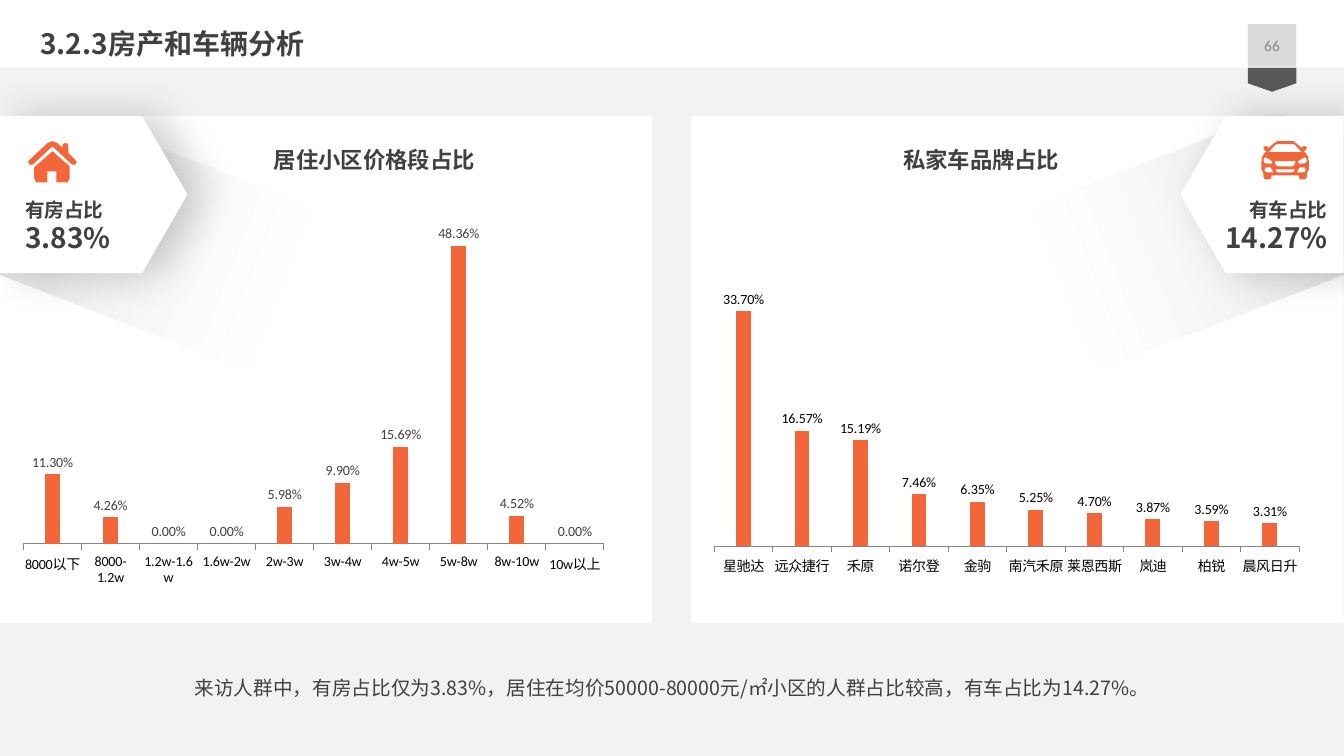
from dataclasses import dataclass
from math import cos, radians, sin

from pptx import Presentation
from pptx.chart.data import CategoryChartData
from pptx.dml.color import RGBColor
from pptx.enum.chart import XL_CHART_TYPE as ChartType, XL_LABEL_POSITION as LabelPosition
from pptx.enum.shapes import MSO_SHAPE as Preset
from pptx.enum.text import MSO_ANCHOR as Anchor, MSO_AUTO_SIZE as AutoSize, PP_ALIGN as Align
from pptx.oxml import parse_xml
from pptx.oxml.ns import nsdecls, qn
from pptx.util import Inches, Pt

Point = tuple[float, float]
Contour = list[Point]
Box = tuple[float, float, float, float]

SLIDE_WIDTH, SLIDE_HEIGHT = 40 / 3, 7.5
PANEL_TOP, PANEL_HEIGHT = 1.15, 5.03
CJK_FONT, CHART_FONT = "Noto Sans CJK SC", "Calibri"
ORANGE, DARK, WHITE, BLACK = "F36639", "404040", "FFFFFF", "000000"

@dataclass
class Panel:
    title: str
    left: float
    chart_box: Box
    title_box: Box
    plot: Box
    axis_maximum: float
    label_color: str
    values: dict[str, float]

@dataclass
class Badge:
    lines: list[tuple[str, int]]
    plate_box: Box
    text_left: float
    align: Align
    mirrored: bool
    icon_at: Point
    icon: list[Contour]

def mirror(points: Contour, axis: float = 0) -> Contour:
    return [(2 * axis - x, y) for x, y in points]

# Icon outlines, in hundredths of an inch; the car is given by its right half
HOUSE = [
    [(24, 10), (41, 25), (41, 37), (39, 41), (28, 41), (28, 30), (19, 30), (19, 41), (8, 41), (6, 37),
     (6, 26), (23, 11)],
    [(24, 0), (29, 2), (34, 7), (34, 4), (35, 2.5), (37, 2), (39, 2.5), (40, 4), (40, 12), (47, 19),
     (48, 21), (47, 23), (45, 23.5), (43, 23), (25, 6), (24, 5.5), (23, 6), (5, 23), (3, 23.5), (1, 23),
     (0, 21), (1, 19), (19, 2)],
]
CAR_CENTRED = [
    [(0, 0), (8, 0), (11, 2), (16.5, 7), (17, 5.5), (19, 5), (21, 5.5), (21.5, 7), (20.5, 9), (18.5, 10),
     (20.5, 12), (22.5, 15), (23.5, 20), (23.5, 28), (21.5, 32), (21.5, 35), (20.5, 37.5), (19, 38),
     (16, 38), (14, 37), (13.5, 34), (0, 34)],
    [(0, 3), (8.5, 3), (10, 4), (16.5, 11), (0, 11)],
    [(0, 28), (9.5, 28), (9, 30), (7.5, 31), (0, 31)],
    [(0, 20), (10.5, 20), (9.5, 23.5), (7.5, 25), (0, 25)],
]
CAR_SIDE = [
    [(19.5, 16), (21, 17), (21.5, 19), (21, 21), (19.5, 22), (14, 22.5), (12.5, 21), (14, 19)],
    [(19.5, 26), (20.5, 29), (19.5, 30.5), (18, 31), (11.5, 31), (14.5, 26)],
]
CAR = [half + mirror(half)[::-1] for half in CAR_CENTRED] + CAR_SIDE + [mirror(side) for side in CAR_SIDE]

BEAM = [(0.61, 1.15), (0.79, 1.15), (3.15, 2.07), (3.37, 4.03), (0, 2.72)]
BEAM_CENTRE, BEAM_ANGLE = (2.0, 2.56), 291.2

PANELS = [
    Panel("居住小区价格段占比", 0, (0, PANEL_TOP, 6.47, PANEL_HEIGHT), (0.96, 1.4, 5.51, 0.37),
          (0.036, 0.115, 0.89, 0.729), 0.6, DARK,
          {"8000以下": 0.113, "8000-1.2w": 0.0426, "1.2w-1.6w": 0, "1.6w-2w": 0, "2w-3w": 0.0598,
           "3w-4w": 0.099, "4w-5w": 0.1569, "5w-8w": 0.4836, "8w-10w": 0.0452, "10w以上": 0}),
    Panel("私家车品牌占比", 6.86, (6.84, PANEL_TOP, 6.49, PANEL_HEIGHT), (6.86, 1.4, 5.75, 0.37),
          (0.038, 0.299, 0.894, 0.55), 0.4, BLACK,
          {"星驰达": 0.337, "远众捷行": 0.1657, "禾原": 0.1519, "诺尔登": 0.0746, "金驹": 0.0635,
           "南汽禾原": 0.0525, "莱恩西斯": 0.047, "岚迪": 0.0387, "柏锐": 0.0359, "晨风日升": 0.0331}),
]
BADGES = [
    Badge([("有房占比", 14), ("3.83%", 20)], (0, PANEL_TOP, 1.86, 1.56), 0.15, Align.LEFT, False,
          (0.28, 1.4), HOUSE),
    Badge([("有车占比", 14), ("14.27%", 20)], (11.71, PANEL_TOP, 1.62, 1.56), 11.71, Align.RIGHT, True,
          (12.75, 1.4), CAR),
]
SUMMARY = "来访人群中，有房占比仅为3.83%，居住在均价50000-80000元/㎡小区的人群占比较高，有车占比为14.27%。"

def set_attributes(target, values: dict) -> None:
    for name, value in values.items():
        setattr(target, name, value)

def set_font(font, size: float, fill: str, name: str, bold: bool = False) -> None:
    set_attributes(font, {"size": Pt(size), "name": name, "bold": bold})
    font.color.rgb = RGBColor.from_string(fill)

def set_fill(fill, value: str) -> None:
    fill.solid()
    fill.fore_color.rgb = RGBColor.from_string(value)

def paint(shape, fill: str):
    shape.shadow.inherit = False
    set_fill(shape.fill, fill)
    shape.line.fill.background()
    return shape

def add_block(slide, box: Box, fill: str, preset=Preset.RECTANGLE):
    return paint(slide.shapes.add_shape(preset, *map(Inches, box)), fill)

def add_text(slide, box: Box, lines: list[tuple[str, int]], align=Align.LEFT, bold: bool = True,
             spacing: float | None = None) -> None:
    frame = slide.shapes.add_textbox(*map(Inches, box)).text_frame
    set_attributes(frame, {"word_wrap": True, "auto_size": AutoSize.SHAPE_TO_FIT_TEXT})
    for index, (text, size) in enumerate(lines):
        paragraph = frame.add_paragraph() if index else frame.paragraphs[0]
        set_attributes(paragraph, {"alignment": align, "line_spacing": Pt(spacing) if spacing else None})
        run = paragraph.add_run()
        run.text = text
        set_font(run.font, size, DARK, CJK_FONT, bold)
        east_asian = parse_xml(f'<a:ea {nsdecls("a")} typeface="{CJK_FONT}"/>')
        run.font._element.find(qn("a:latin")).addnext(east_asian)

def add_outline(slide, contours: list[Contour], origin: Point = (0, 0), unit: float = 1):
    scaled = [[(Inches(origin[0] + x * unit), Inches(origin[1] + y * unit)) for x, y in contour]
              for contour in contours]
    builder = slide.shapes.build_freeform(*scaled[0][0])
    for index, contour in enumerate(scaled):
        if index:
            builder.move_to(*contour[0])
        builder.add_line_segments(contour[1:], close=True)
    return paint(builder.convert_to_shape(), ORANGE)

def add_chart(slide, panel: Panel) -> None:
    data = CategoryChartData(number_format="0.00%")
    data.categories = list(panel.values)
    data.add_series("Series 1", list(panel.values.values()))
    chart = slide.shapes.add_chart(ChartType.COLUMN_CLUSTERED, *map(Inches, panel.chart_box), data).chart
    set_attributes(chart, {"has_legend": False, "has_title": False})
    set_font(chart.font, 10, BLACK, CHART_FONT)
    set_attributes(chart.value_axis, {"visible": False, "has_major_gridlines": False,
                                      "minimum_scale": 0, "maximum_scale": panel.axis_maximum})
    axis, plot = chart.category_axis, chart.plots[0]
    axis.format.line.color.rgb = RGBColor.from_string("868686")
    set_font(axis.tick_labels.font, 10, BLACK, CHART_FONT)
    axis._element.find(qn("c:txPr")).find(qn("a:bodyPr")).set("rot", "0")  # level labels that wrap
    set_attributes(plot, {"gap_width": 292, "vary_by_categories": False, "has_data_labels": True})
    set_attributes(plot.data_labels, {"show_value": True, "position": LabelPosition.OUTSIDE_END,
                                      "number_format": "0.00%", "number_format_is_linked": False})
    set_font(plot.data_labels.font, 10, panel.label_color, CHART_FONT)
    set_fill(plot.series[0].format.fill, ORANGE)
    # Fixed inner plot area
    parts = "".join(f'<c:{tag}Mode val="edge"/>' for tag in "xy")
    parts += "".join(f'<c:{tag} val="{value}"/>' for tag, value in zip("xywh", panel.plot))
    area = chart._chartSpace.chart.plotArea
    for old in area.findall(qn("c:layout")):
        area.remove(old)
    area.insert(0, parse_xml(f'<c:layout {nsdecls("c")}><c:manualLayout><c:layoutTarget val="inner"/>'
                             f'{parts}</c:manualLayout></c:layout>'))

def add_beam(slide, mirrored: bool) -> None:
    turn, (centre_x, centre_y) = radians(-BEAM_ANGLE), BEAM_CENTRE
    offsets = [(x - centre_x, y - centre_y) for x, y in BEAM]
    points = [(centre_x + x * cos(turn) - y * sin(turn), centre_y + x * sin(turn) + y * cos(turn))
              for x, y in offsets]
    shape = add_outline(slide, [mirror(points, SLIDE_WIDTH / 2) if mirrored else points])
    shape.rotation = 360 - BEAM_ANGLE if mirrored else BEAM_ANGLE
    stops = "".join(f'<a:gs pos="{at}"><a:srgbClr val="{tone}"><a:alpha val="{alpha}"/></a:srgbClr></a:gs>'
                    for at, tone, alpha in [(0, "3B3838", 20000), (72000, "F2F2F2", 0)])
    properties = shape._element.spPr
    properties.replace(properties.find(qn("a:solidFill")), parse_xml(
        f'<a:gradFill {nsdecls("a")} rotWithShape="1"><a:gsLst>{stops}</a:gsLst>'
        '<a:lin ang="5400000" scaled="0"/></a:gradFill>'))

def add_badge(slide, badge: Badge) -> None:
    add_beam(slide, badge.mirrored)
    plate = add_block(slide, badge.plate_box, WHITE, Preset.PENTAGON)
    plate.adjustments[0] = 0.288
    plate.rotation = 180 if badge.mirrored else 0
    plate._element.spPr.find(qn("a:effectLst")).append(parse_xml(
        f'<a:outerShdw {nsdecls("a")} blurRad="{Pt(30)}" dist="{Pt(12)}" dir="0" rotWithShape="0">'
        '<a:srgbClr val="000000"><a:alpha val="20000"/></a:srgbClr></a:outerShdw>'))
    add_outline(slide, badge.icon, badge.icon_at, 0.01)
    add_text(slide, (badge.text_left, 1.91, 1.56, 0.67), badge.lines, badge.align)

def main() -> None:
    presentation = Presentation()
    set_attributes(presentation, {"slide_width": Inches(SLIDE_WIDTH), "slide_height": Inches(SLIDE_HEIGHT)})
    slide = presentation.slides.add_slide(presentation.slide_layouts[6])
    # Backdrop, header and page number
    add_block(slide, (0, 0, SLIDE_WIDTH, SLIDE_HEIGHT), "F2F2F2")
    ribbon = add_block(slide, (12.5, 0.55, 0.24, 0.48), "595959", Preset.PENTAGON)
    ribbon.rotation, ribbon.adjustments[0] = 90, 0.346
    add_block(slide, (0, 0, SLIDE_WIDTH, 0.67), WHITE)
    page_frame = add_block(slide, (12.38, 0.24, 0.48, 0.42), "D9D9D9").text_frame
    set_attributes(page_frame, {"text": "66", "vertical_anchor": Anchor.MIDDLE})
    page_frame.paragraphs[0].alignment = Align.CENTER
    set_font(page_frame.paragraphs[0].runs[0].font, 11, "8C8C8C", CHART_FONT)
    add_text(slide, (0.3, 0.21, 11.33, 0.44), [("3.2.3房产和车辆分析", 20)])
    # Chart panels, summary and corner badges
    for panel in PANELS:
        add_block(slide, (panel.left, PANEL_TOP, 6.47, PANEL_HEIGHT), WHITE)
        add_chart(slide, panel)
        add_text(slide, panel.title_box, [(panel.title, 16)], Align.CENTER)
    add_text(slide, (0, 6.54, SLIDE_WIDTH, 0.41), [(SUMMARY, 14)], Align.CENTER, False, 25)
    for badge in BADGES:
        add_badge(slide, badge)
    presentation.save("out.pptx")

if __name__ == "__main__":
    main()
